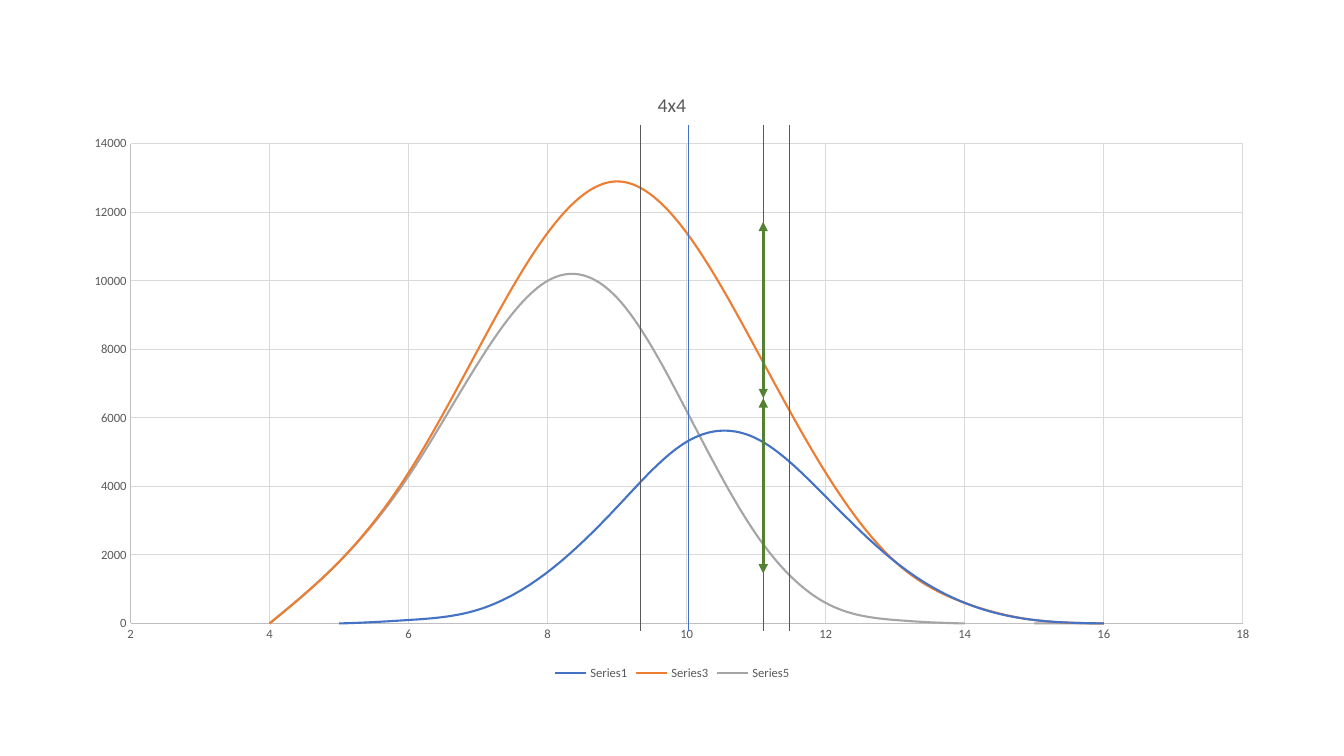
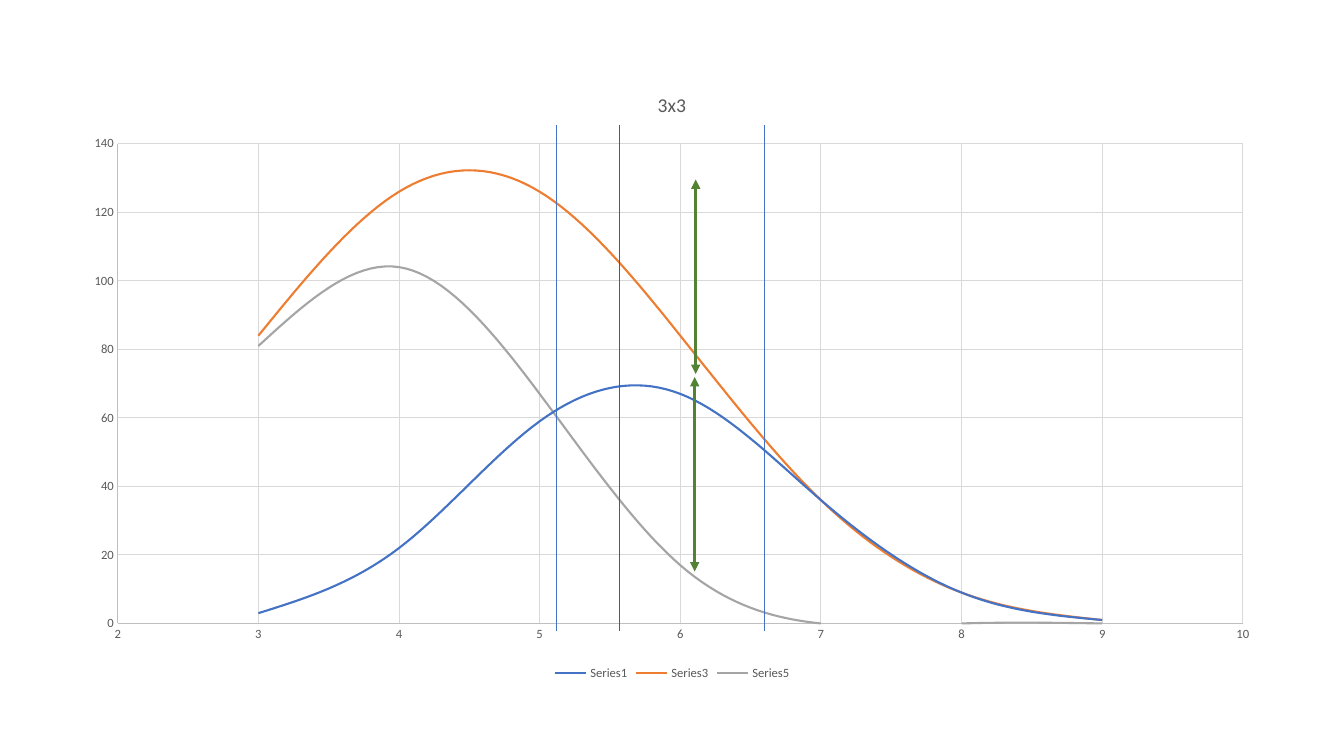
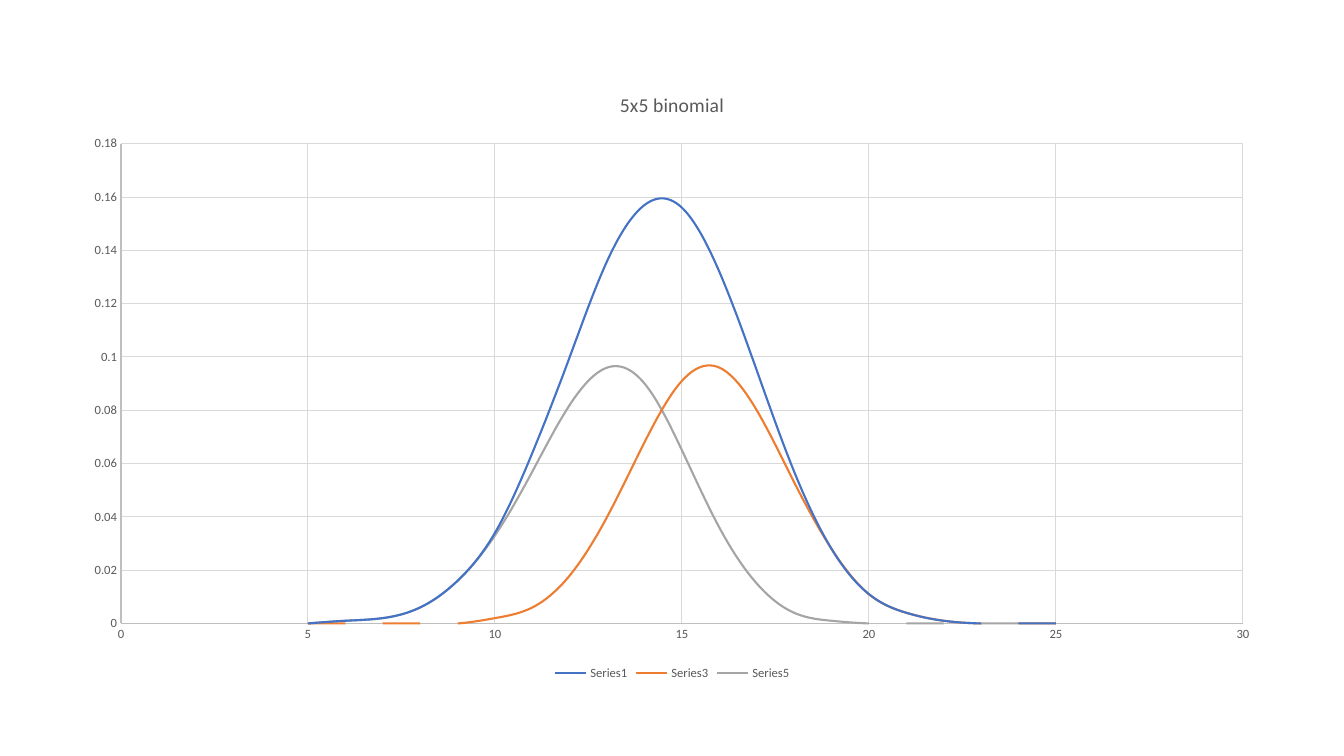
from dataclasses import dataclass

from pptx import Presentation
from pptx.chart.data import XyChartData
from pptx.dml.color import RGBColor
from pptx.enum.chart import XL_CHART_TYPE, XL_LEGEND_POSITION, XL_TICK_MARK
from pptx.enum.shapes import MSO_CONNECTOR
from pptx.oxml.ns import qn
from pptx.oxml.xmlchemy import OxmlElement
from pptx.util import Inches, Pt

SMOOTH_SCATTER = XL_CHART_TYPE.XY_SCATTER_SMOOTH_NO_MARKERS
LEGEND_BOTTOM = XL_LEGEND_POSITION.BOTTOM
NO_TICK = XL_TICK_MARK.NONE
STRAIGHT = MSO_CONNECTOR.STRAIGHT
BLANK_LAYOUT = 6


@dataclass(frozen=True)
class Theme:
    font: str = "Calibri"
    text: str = "595959"
    axis: str = "BFBFBF"
    grid: str = "D9D9D9"
    blue: str = "4472C4"
    dark: str = "595959"
    green: str = "548235"
    series: tuple = ("4472C4", "ED7D31", "A5A5A5")
    title_size: float = 14
    label_size: float = 9
    hairline: float = 0.5
    axis_width: float = 0.75
    curve_width: float = 1.5
    arrow_width: float = 2.25


THEME = Theme()
CHART_BOX = (0.7, 0.7, 11.93, 6.09)
MARKER_TOP, MARKER_BOTTOM = 1.24, 6.26
SERIES_NAMES = ("Series1", "Series3", "Series5")


@dataclass(frozen=True)
class Distribution:
    title: str
    first_x: int
    x_scale: tuple
    y_scale: tuple
    curves: tuple
    markers: tuple = ()
    arrows: tuple = ()


DISTRIBUTIONS = (
    Distribution(
        title="4x4",
        first_x=4,
        x_scale=(2, 18, 2),
        y_scale=(0, 14000, 2000),
        curves=(
            (0, 0, 100, 400, 1500, 3400, 5300, 5400, 3700, 1800, 600, 100, 0),
            (0, 1800, 4400, 8000, 11400, 12900, 11400, 8000, 4400, 1800, 600, 100, 0),
            (0, 1800, 4300, 7600, 10000, 9500, 6200, 2600, 600, 100, 0, 0, 0),
        ),
        markers=((6.83, THEME.blue), (7.83, THEME.dark),
                 (6.35, THEME.dark), (7.57, THEME.dark)),
        arrows=((7.57, 3.95, 5.69), (7.57, 2.2, 3.95)),
    ),
    Distribution(
        title="3x3",
        first_x=3,
        x_scale=(2, 10, 1),
        y_scale=(0, 140, 20),
        curves=(
            (3, 22, 59, 67, 36, 9, 1),
            (84, 126, 126, 84, 36, 9, 1),
            (81, 104, 67, 17, 0, 0, 0),
        ),
        markers=((5.52, THEME.blue), (6.14, THEME.dark), (7.58, THEME.blue)),
        arrows=((6.9, 1.78, 3.71), (6.89, 3.74, 5.67)),
    ),
    Distribution(
        title="5x5 binomial",
        first_x=5,
        x_scale=(0, 30, 5),
        y_scale=(0, 0.18, 0.02),
        curves=(
            (0, 0.001, 0.002, 0.006, 0.016, 0.034, 0.064, 0.1, 0.136, 0.157, 0.156,
             0.132, 0.095, 0.057, 0.028, 0.011, 0.004, 0.001, 0, 0, 0),
            (0, 0, 0, 0, 0, 0.002, 0.006, 0.018, 0.04, 0.068, 0.091,
             0.096, 0.08, 0.053, 0.028, 0.011, 0.004, 0.001, 0, 0, 0),
            (0, 0.001, 0.002, 0.006, 0.016, 0.033, 0.057, 0.082, 0.096, 0.09, 0.065,
             0.036, 0.015, 0.004, 0.001, 0, 0, 0, 0, 0, 0),
        ),
    ),
)


def style_font(font, size):
    font.name = THEME.font
    font.size = Pt(size)
    font.bold = False
    font.color.rgb = RGBColor.from_string(THEME.text)


def style_line(line, color, width):
    line.color.rgb = RGBColor.from_string(color)
    line.width = Pt(width)


def style_axis(axis, scale):
    axis.minimum_scale, axis.maximum_scale, axis.major_unit = scale
    axis.major_tick_mark = NO_TICK
    axis.minor_tick_mark = NO_TICK
    axis.has_major_gridlines = True
    style_line(axis.major_gridlines.format.line, THEME.grid, THEME.axis_width)
    style_line(axis.format.line, THEME.axis, THEME.axis_width)
    style_font(axis.tick_labels.font, THEME.label_size)


def add_distribution_chart(slide, distribution):
    chart_data = XyChartData()
    for name, values in zip(SERIES_NAMES, distribution.curves):
        series = chart_data.add_series(name)
        for x, y in enumerate(values, distribution.first_x):
            series.add_data_point(x, y)
    box = [Inches(length) for length in CHART_BOX]
    chart = slide.shapes.add_chart(SMOOTH_SCATTER, *box, chart_data).chart
    style_font(chart.font, THEME.label_size)

    chart.has_title = True
    paragraph = chart.chart_title.text_frame.paragraphs[0]
    paragraph.text = distribution.title
    style_font(paragraph.font, THEME.title_size)
    chart.chart_title.include_in_layout = False

    chart.has_legend = True
    chart.legend.position = LEGEND_BOTTOM
    chart.legend.include_in_layout = False
    style_font(chart.legend.font, THEME.label_size)

    style_axis(chart.category_axis, distribution.x_scale)
    style_axis(chart.value_axis, distribution.y_scale)

    plot = chart.plots[0]
    plot.vary_by_categories = False
    for series, color in zip(plot.series, THEME.series):
        series._element.get_or_add_smooth().val = True
        style_line(series.format.line, color, THEME.curve_width)


def add_vertical_line(slide, x, top, bottom, color, width):
    connector = slide.shapes.add_connector(
        STRAIGHT, Inches(x), Inches(top), Inches(x), Inches(bottom))
    style_line(connector.line, color, width)
    connector._element.spPr.append(OxmlElement("a:effectLst"))
    return connector


def add_double_arrow(slide, x, top, bottom):
    connector = add_vertical_line(
        slide, x, top, bottom, THEME.green, THEME.arrow_width)
    outline = connector._element.spPr.find(qn("a:ln"))
    for tag in ("a:headEnd", "a:tailEnd"):
        arrowhead = OxmlElement(tag)
        arrowhead.set("type", "triangle")
        outline.append(arrowhead)


def add_distribution_slide(presentation, distribution):
    slide = presentation.slides.add_slide(presentation.slide_layouts[BLANK_LAYOUT])
    add_distribution_chart(slide, distribution)
    for x, color in distribution.markers:
        add_vertical_line(
            slide, x, MARKER_TOP, MARKER_BOTTOM, color, THEME.hairline)
    for x, top, bottom in distribution.arrows:
        add_double_arrow(slide, x, top, bottom)


def main():
    presentation = Presentation()
    presentation.slide_width = Inches(13.33)
    presentation.slide_height = Inches(7.5)
    for distribution in DISTRIBUTIONS:
        add_distribution_slide(presentation, distribution)
    presentation.save("out.pptx")


if __name__ == "__main__":
    main()
